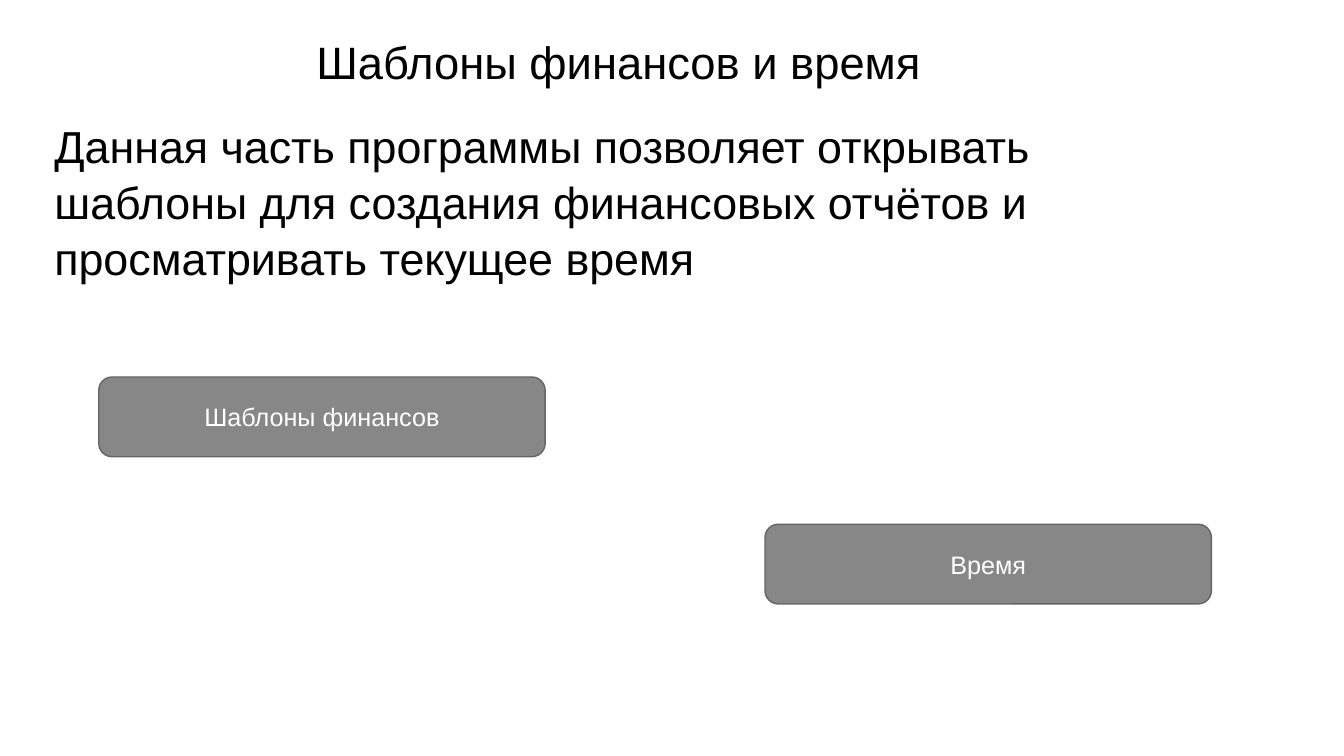
from pptx import Presentation
from pptx.dml.color import RGBColor
from pptx.enum.shapes import MSO_SHAPE as Shape
from pptx.enum.text import MSO_ANCHOR as Anchor, MSO_AUTO_SIZE as AutoSize, PP_ALIGN as Align
from pptx.util import Cm, Pt


def color(value):
    return RGBColor.from_string(value)


def write(box, text, size, hue, align=Align.LEFT, anchor=Anchor.MIDDLE):
    frame = box.text_frame
    frame.text = text
    frame.word_wrap = True
    frame.auto_size = AutoSize.NONE
    frame.vertical_anchor = anchor
    para = frame.paragraphs[0]
    para.alignment = align
    para.space_before = Pt(0)
    font = para.runs[0].font
    font.name, font.size = "Arial", Pt(size)
    font.color.rgb = color(hue)
    return para


def add_title(page, left, top, width, height):
    title = page.shapes.title
    title.left, title.top = Cm(left), Cm(top)
    title.width, title.height = Cm(width), Cm(height)
    para = write(title, "Шаблоны финансов и время", 32.4, "000000")
    para.line_spacing = 1.0


def add_description(page, left, top, width, height):
    box = page.shapes.add_textbox(Cm(left), Cm(top), Cm(width), Cm(height))
    text = ("Данная часть программы позволяет открывать шаблоны для создания "
            "финансовых отчётов и просматривать текущее время")
    para = write(box, text, 32, "000000", anchor=Anchor.TOP)
    para.line_spacing = 1.05


def add_button(page, label, left, top, width=11.25, height=2.01):
    button = page.shapes.add_shape(
        Shape.ROUNDED_RECTANGLE, Cm(left), Cm(top), Cm(width), Cm(height))
    button.shadow.inherit = False
    button.fill.solid()
    button.fill.fore_color.rgb = color("878787")
    button.line.color.rgb = color("646464")
    button.line.width = Pt(1)
    write(button, label, 18, "FFFFFF", Align.CENTER)


def main():
    deck = Presentation()
    deck.slide_width, deck.slide_height = Cm(33.87), Cm(19.05)
    page = deck.slides.add_slide(deck.slide_layouts[5])
    add_title(page, 7.72, 0.74, 30.48, 1.63)
    add_description(page, 1.12, 2.79, 26.37, 4.22)
    add_button(page, "Шаблоны финансов", 2.49, 9.5)
    add_button(page, "Время", 19.28, 13.21)
    deck.save("out.pptx")


if __name__ == "__main__":
    main()
